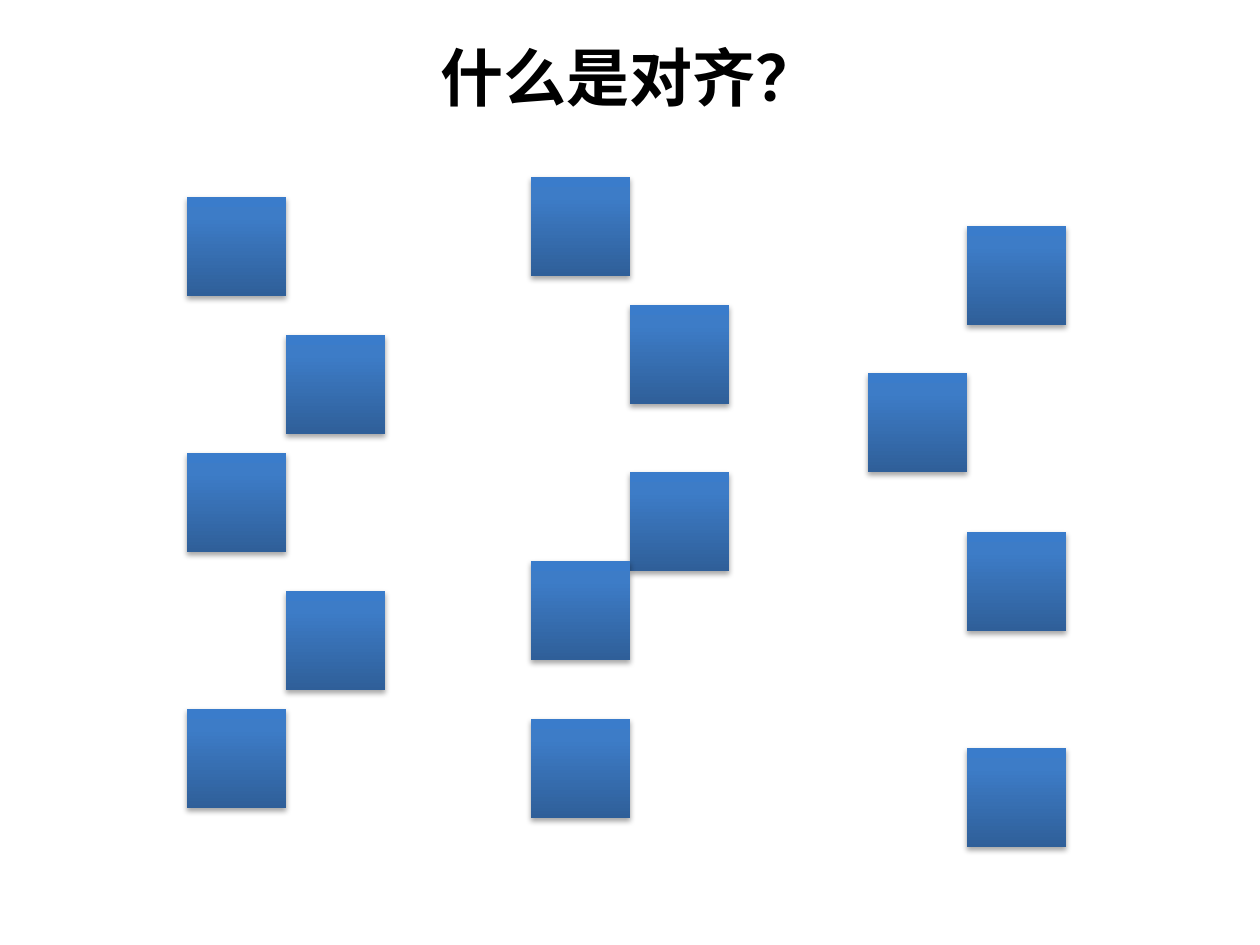
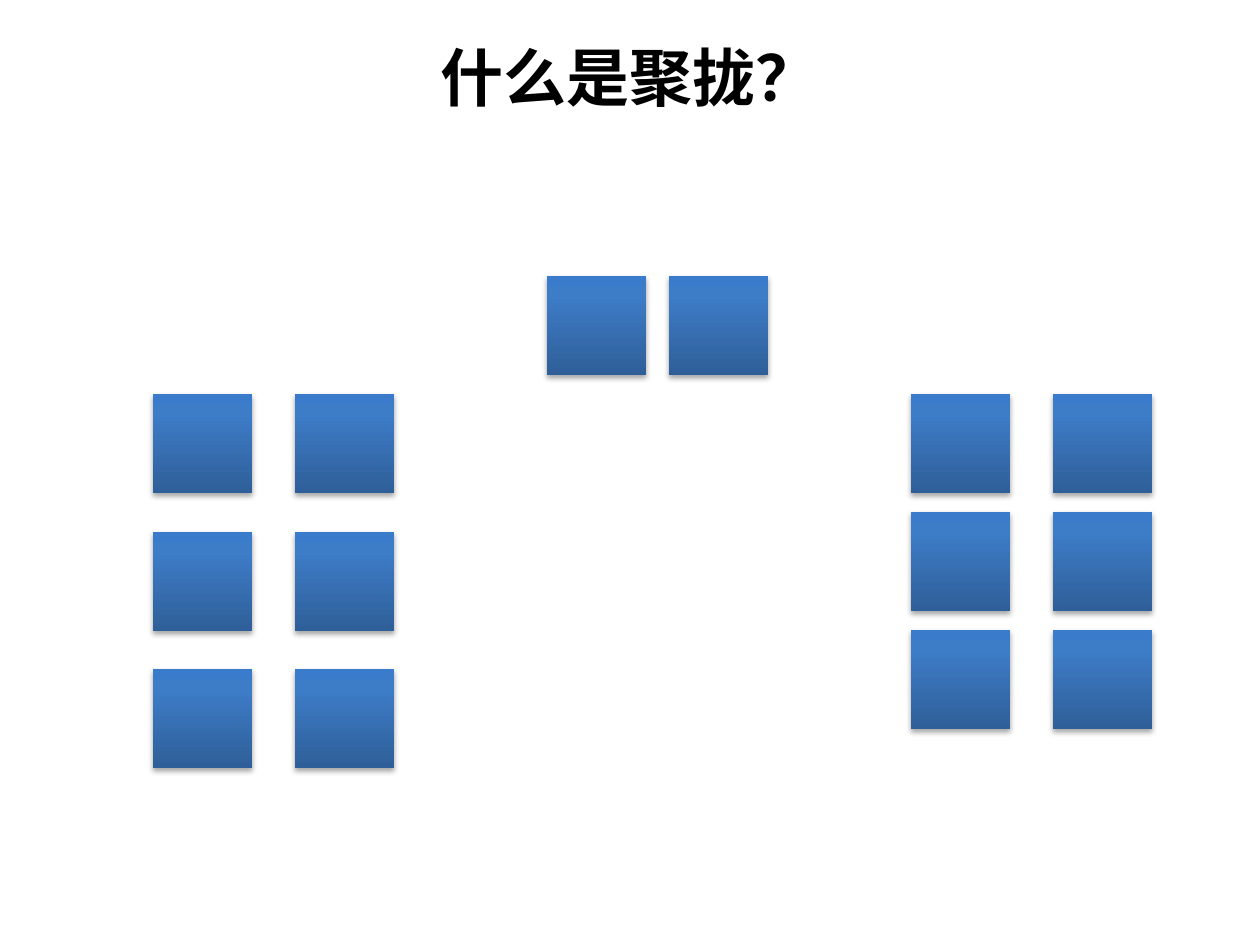
from copy import deepcopy
from itertools import product
from lxml import etree
from pptx import Presentation
from pptx.dml.color import RGBColor
from pptx.enum.shapes import MSO_SHAPE
from pptx.enum.text import MSO_ANCHOR, PP_ALIGN
from pptx.oxml import parse_xml
from pptx.oxml.ns import qn
from pptx.util import Pt

RECT = MSO_SHAPE.RECTANGLE
MIDDLE = MSO_ANCHOR.MIDDLE
CENTER = PP_ALIGN.CENTER
PX = 914400 / 126
SIDE = 99
FONT = "Noto Sans CJK SC"
BLACK = "000000"
BLUES = [(0, "2F5F99"), (0.8, "3D7CC7"), (1, "3A7CCB")]
SHADOW = f"""<a:outerShdw
 xmlns:a="http://schemas.openxmlformats.org/drawingml/2006/main"
 blurRad="40000" dist="23000" dir="5400000" rotWithShape="0">
<a:srgbClr val="{BLACK}"><a:alpha val="35000"/></a:srgbClr></a:outerShdw>"""

hue = RGBColor.from_string


def write(slide, text, box, size=36, color=BLACK, bold=True):
    area = slide.shapes.add_textbox(*[round(n * PX) for n in box])
    frame = area.text_frame
    frame.word_wrap = True
    frame.vertical_anchor = MIDDLE
    line = frame.paragraphs[0]
    line.alignment = CENTER
    run = line.add_run()
    run.text = text
    run.font.size = Pt(size)
    run.font.bold = bold
    run.font.color.rgb = hue(color)
    run.font.name = FONT
    props = run.font._element
    etree.SubElement(props, qn("a:ea")).set("typeface", FONT)


def tile(slide, left, top):
    box = [round(n * PX) for n in (left, top, SIDE, SIDE)]
    square = slide.shapes.add_shape(RECT, *box)
    square.line.fill.background()
    square.fill.gradient()
    square.fill.gradient_angle = 90
    props = square._element.spPr
    stops = props.find(".//" + qn("a:gsLst"))
    stops.append(deepcopy(stops[0]))
    for stop, (place, color) in zip(square.fill.gradient_stops, BLUES):
        stop.position = place
        stop.color.rgb = hue(color)
    square.shadow.inherit = False
    props.find(qn("a:effectLst")).append(parse_xml(SHADOW))


loose = [
    ([187], range(197, 710, 256)),
    ([286], range(335, 592, 256)),
    ([630], [305, 472]),
    ([531], [177, 561, 719]),
    ([868], [373]),
    ([967], [226, 532, 748]),
]
grouped = [
    ([153, 295], [394, 532, 669]),
    ([547, 669], [276]),
    ([911, 1053], range(394, 631, 118)),
]

deck = Presentation()
deck.slide_width = round(1260 * PX)
deck.slide_height = round(945 * PX)
blank = deck.slide_layouts[6]

for title, grids in [("什么是对齐？", loose), ("什么是聚拢？", grouped)]:
    slide = deck.slides.add_slide(blank)
    write(slide, title, (63, 26, 1134, 100))
    for lefts, tops in grids:
        for left, top in product(lefts, tops):
            tile(slide, left, top)

deck.save("out.pptx")
